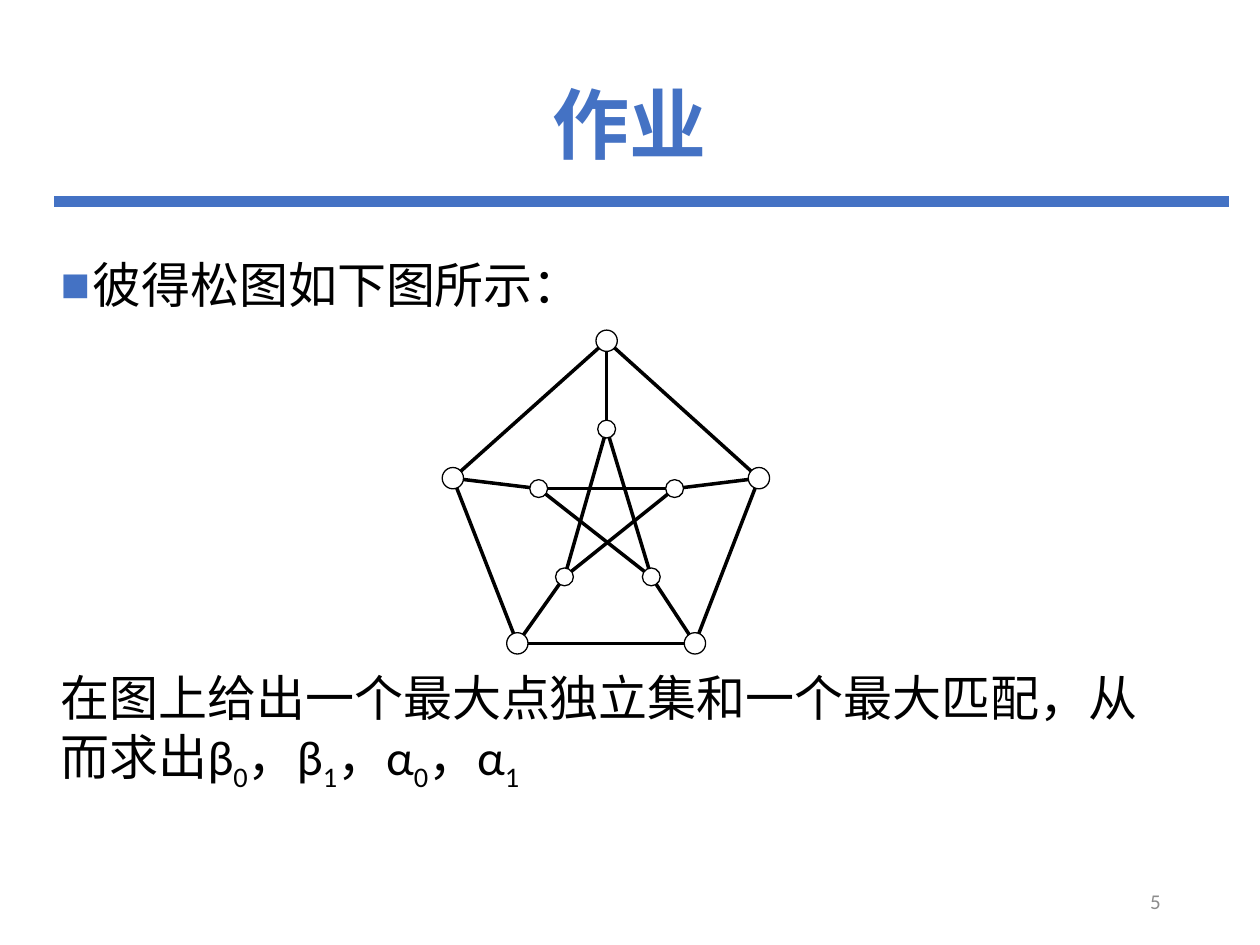
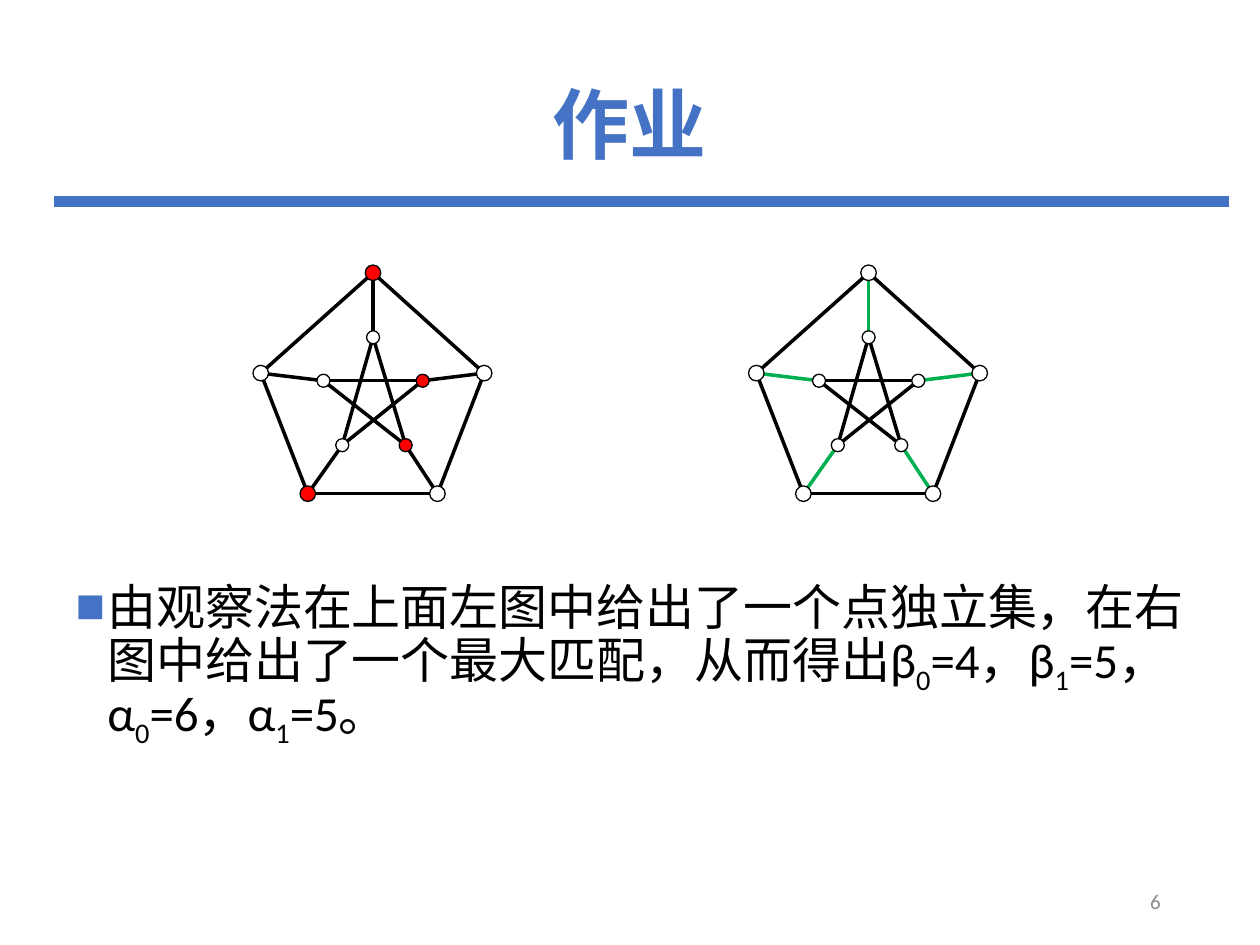
import dataclasses

import lxml.etree
import pptx
import pptx.dml.color
import pptx.enum.shapes
import pptx.enum.text
import pptx.oxml.ns
import pptx.util

Cm = pptx.util.Cm
Pt = pptx.util.Pt
Align = pptx.enum.text.PP_ALIGN
Anchor = pptx.enum.text.MSO_ANCHOR
qn = pptx.oxml.ns.qn


@dataclasses.dataclass(frozen=True)
class Theme:
    blue: str = "4472C4"
    black: str = "000000"
    white: str = "FFFFFF"
    gray: str = "8C8C8C"
    red: str = "FF0000"
    green: str = "00B050"
    latin: str = "Calibri"
    asian: str = "Noto Sans CJK SC"
    title: int = 44
    body: int = 28
    number: int = 12
    rule: float = 6
    edge: float = 2
    rim: float = 0.75


THEME = Theme()

OUTER = [(0, 0), (3.07, 2.77), (1.78, 6.1), (-1.8, 6.1), (-3.1, 2.77)]
INNER = [(0, 1.78), (1.37, 2.98), (0.9, 4.76), (-0.85, 4.76), (-1.37, 2.98)]
NODES = OUTER + INNER
RING = [(i, (i + 1) % 5) for i in range(5)]
SPOKES = [(i, i + 5) for i in range(5)]
STAR = [(i + 5, (i + 2) % 5 + 5) for i in range(5)]


def paint(color):
    return pptx.dml.color.RGBColor.from_string(color)


def place(shape, left, top, width, height):
    shape.left, shape.top = Cm(left), Cm(top)
    shape.width, shape.height = Cm(width), Cm(height)


def style(run, size, color, name=THEME.latin, bold=False):
    font = run.font
    font.size, font.name, font.bold = Pt(size), name, bold
    font.color.rgb = paint(color)
    props = run._r.get_or_add_rPr()
    lxml.etree.SubElement(props, qn("a:ea")).set("typeface", THEME.asian)
    return props


def draw_line(shapes, start, end, color, width):
    ends = [Cm(value) for value in (*start, *end)]
    line = shapes.add_connector(pptx.enum.shapes.MSO_CONNECTOR.STRAIGHT, *ends)
    line.line.color.rgb = paint(color)
    line.line.width = Pt(width)
    lxml.etree.SubElement(line.element.spPr, qn("a:effectLst"))


def draw_node(shapes, x, y, size, color):
    box = [Cm(value) for value in (x - size / 2, y - size / 2, size, size)]
    kind = pptx.enum.shapes.MSO_SHAPE.FLOWCHART_CONNECTOR
    node = shapes.add_shape(kind, *box)
    node.shadow.inherit = False
    node.fill.solid()
    node.fill.fore_color.rgb = paint(color)
    node.line.color.rgb = paint(THEME.black)
    node.line.width = Pt(THEME.rim)


def draw_graph(slide, left, top, scale=1, chosen=(), matched=()):
    shapes = slide.shapes.add_group_shape().shapes
    spots = [(left + x * scale, top + y * scale) for x, y in NODES]
    for edge in RING + SPOKES + STAR:
        color = THEME.green if edge in matched else THEME.black
        draw_line(shapes, spots[edge[0]], spots[edge[1]], color, THEME.edge)
    for index, (x, y) in enumerate(spots):
        size = (0.43 if index < 5 else 0.36) * scale
        color = THEME.red if index in chosen else THEME.white
        draw_node(shapes, x, y, size, color)


def add_bullet(para):
    props = para._p.get_or_add_pPr()
    props.set("marL", str(Cm(0.64)))
    props.set("indent", str(-Cm(0.64)))
    color = lxml.etree.SubElement(props, qn("a:buClr"))
    lxml.etree.SubElement(color, qn("a:srgbClr")).set("val", THEME.blue)
    lxml.etree.SubElement(props, qn("a:buChar")).set("char", "■")


def drop_bullet(para):
    props = para._p.get_or_add_pPr()
    props.set("marL", "0")
    props.set("indent", "0")
    lxml.etree.SubElement(props, qn("a:buNone"))


def write_para(para, text, spacing, before=0, bullet=True):
    if bullet:
        add_bullet(para)
    else:
        drop_bullet(para)
    para.line_spacing = spacing
    para.space_before = Pt(before)
    for index, part in enumerate(text.split("|")):
        run = para.add_run()
        run.text = part
        props = style(run, THEME.body, THEME.black)
        if index % 2:
            props.set("baseline", "-25000")


def get_body(slide, *box):
    body = slide.placeholders[1]
    place(body, *box)
    frame = body.text_frame
    frame.word_wrap = True
    frame.auto_size = pptx.enum.text.MSO_AUTO_SIZE.NONE
    return frame


def add_title(slide, text):
    title = slide.shapes.title
    place(title, 1.75, 1.02, 21.89, 3.15)
    frame = title.text_frame
    frame.text = text
    frame.vertical_anchor = Anchor.MIDDLE
    para = frame.paragraphs[0]
    para.alignment = Align.CENTER
    para.line_spacing = 0.9
    style(para.runs[0], THEME.title, THEME.blue, THEME.asian, True)


def add_number(slide, number):
    box = [Cm(value) for value in (17.93, 17.65, 5.72, 1.02)]
    frame = slide.shapes.add_textbox(*box).text_frame
    frame.word_wrap = True
    frame.vertical_anchor = Anchor.MIDDLE
    frame.text = str(number)
    para = frame.paragraphs[0]
    para.alignment = Align.RIGHT
    style(para.runs[0], THEME.number, THEME.gray)


def add_page(deck, number):
    slide = deck.slides.add_slide(deck.slide_layouts[1])
    draw_line(slide.shapes, (1.09, 4.06), (24.77, 4.06), THEME.blue, THEME.rule)
    add_title(slide, "作业")
    add_number(slide, number)
    return slide


def build_task(deck):
    slide = add_page(deck, 5)
    frame = get_body(slide, 0.97, 5.13, 22.86, 12.9)
    write_para(frame.paragraphs[0], "彼得松图如下图所示：", 0.9)
    ask = "在图上给出一个最大点独立集和一个最大匹配，从而求出β|0|，β|1|，α|0|，α|1"
    write_para(frame.add_paragraph(), ask, 0.9, before=206, bullet=False)
    draw_graph(slide, 12.23, 6.87)


def build_answer(deck):
    slide = add_page(deck, 6)
    frame = get_body(slide, 1.27, 11.73, 22.86, 3.4)
    text = (
        "由观察法在上面左图中给出了一个点独立集，在右图中给出了一个最大匹配，"
        "从而得出β|0|=4，β|1|=5，α|0|=6，α|1|=5。"
    )
    write_para(frame.paragraphs[0], text, 0.8)
    draw_graph(slide, 7.52, 5.5, 0.73, chosen=(0, 3, 6, 7))
    draw_graph(slide, 17.51, 5.5, 0.73, matched=SPOKES)


def main():
    deck = pptx.Presentation()
    deck.slide_width, deck.slide_height = Cm(25.4), Cm(19.05)
    build_task(deck)
    build_answer(deck)
    deck.save("out.pptx")


if __name__ == "__main__":
    main()
